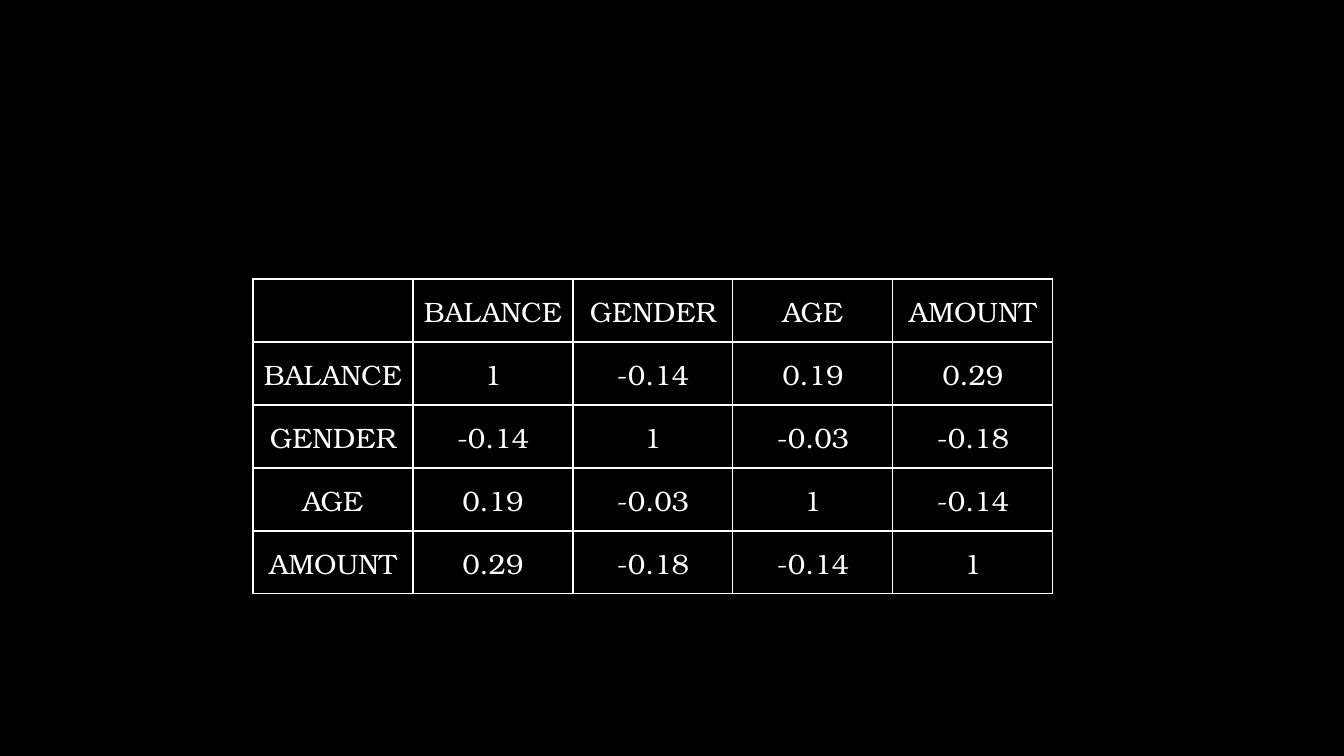
from dataclasses import dataclass

from lxml import etree
from pptx import Presentation
from pptx.dml.color import RGBColor
from pptx.enum import text
from pptx.oxml import ns
from pptx.util import Emu, Pt


@dataclass(frozen=True)
class Theme:
    back: str = "000000"
    ink: str = "FFFFFF"
    font: str = "TeX Gyre Bonum"
    size: int = 20
    rule: int = 1


THEME = Theme()
SCALE = 914400 / 100.8

NAMES = ["BALANCE", "GENDER", "AGE", "AMOUNT"]
VALUES = [
    ["1", "-0.14", "0.19", "0.29"],
    ["-0.14", "1", "-0.03", "-0.18"],
    ["0.19", "-0.03", "1", "-0.14"],
    ["0.29", "-0.18", "-0.14", "1"],
]


def px(count):
    return Emu(round(count * SCALE))


def paint(slide):
    fill = slide.background.fill
    fill.solid()
    fill.fore_color.rgb = RGBColor.from_string(THEME.back)


def border(cell):
    # Border lines come before the fill in the cell properties
    props = cell._tc.get_or_add_tcPr()
    for place, side in enumerate(("lnL", "lnR", "lnT", "lnB")):
        line = etree.Element(ns.qn(f"a:{side}"), w=str(Pt(THEME.rule)))
        fill = etree.SubElement(line, ns.qn("a:solidFill"))
        etree.SubElement(fill, ns.qn("a:srgbClr"), val=THEME.ink)
        props.insert(place, line)


def write(cell, words):
    cell.vertical_anchor = text.MSO_ANCHOR.MIDDLE
    cell.margin_left = cell.margin_right = cell.margin_top = px(1)
    cell.margin_bottom = 0
    para = cell.text_frame.paragraphs[0]
    para.alignment = text.PP_ALIGN.CENTER
    if words:
        run = para.add_run()
        run.text = words
        run.font.name = THEME.font
        run.font.size = Pt(THEME.size)
        run.font.bold = False
        run.font.color.rgb = RGBColor.from_string(THEME.ink)


def grid(slide, rows, left, top, wide, high):
    count = len(rows[0])
    frame = slide.shapes.add_table(len(rows), count, px(left), px(top),
                                   px(wide * count), px(high * len(rows)))
    table = frame.table
    table.first_row = table.horz_banding = False
    for col in table.columns:
        col.width = px(wide)
    for line, row in zip(table.rows, rows):
        line.height = px(high)
        for cell, words in zip(line.cells, row):
            cell.fill.background()
            border(cell)
            write(cell, words)


def main():
    deck = Presentation()
    deck.slide_width, deck.slide_height = px(1344), px(756)
    slide = deck.slides.add_slide(deck.slide_layouts[6])

    # Black backdrop
    paint(slide)

    # Correlation table: names along the top and down the side
    rows = [["", *NAMES]]
    rows += [[name, *row] for name, row in zip(NAMES, VALUES)]
    grid(slide, rows, left=253, top=279, wide=160, high=63)

    deck.save("out.pptx")


if __name__ == "__main__":
    main()
